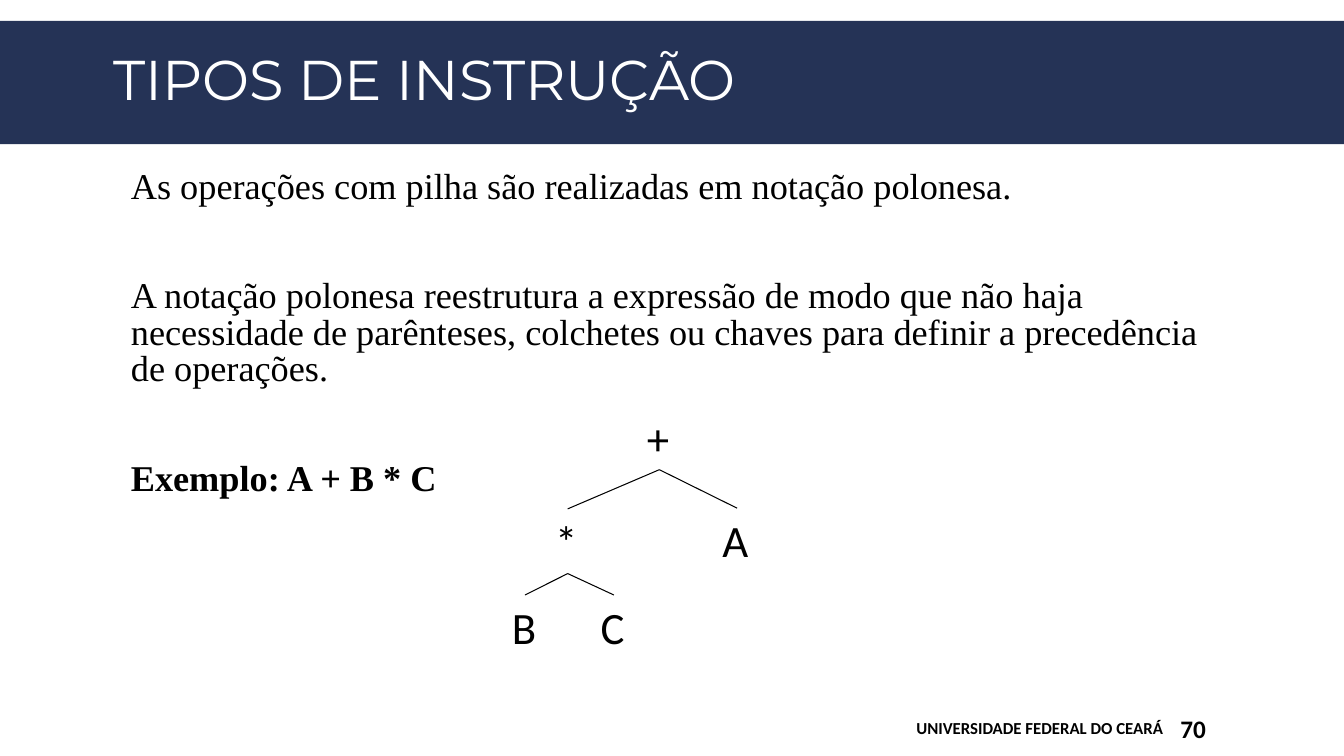
from lxml.etree import SubElement
from pptx import Presentation
from pptx.dml.color import RGBColor
from pptx.enum.shapes import MSO_CONNECTOR, MSO_SHAPE
from pptx.enum.text import MSO_ANCHOR, PP_ALIGN
from pptx.oxml.ns import qn
from pptx.util import Pt

NAVY, WHITE, BLACK = "253356", "FFFFFF", "000000"

TITLE = {"name": "Montserrat", "size": Pt(40)}
BODY = {"name": "Times New Roman", "size": Pt(25.9)}
FOOTER = {"name": "Calibri", "size": Pt(12), "bold": True}
PAGE = {**FOOTER, "size": Pt(18)}
NODE = {"name": "Calibri", "size": Pt(32)}

STATEMENTS = [
    ("As operações com pilha são realizadas em notação polonesa.", BODY),
    ("A notação polonesa reestrutura a expressão de modo que não haja "
     "necessidade de parênteses, colchetes ou chaves para definir a "
     "precedência de operações.", BODY),
    ("Exemplo: A + B * C", {**BODY, "bold": True}),
]

# Operator or operand: left, top, width
NODES = {
    "+": (455, 289.5, 31),
    "*": (389.5, 363.5, 31.7),
    "A": (509, 363, 35.3),
    "B": (358.5, 425, 33.8),
    "C": (422, 425, 33.8),
}
# Fork point and the ends of its two branches
FORKS = [
    ((471, 335.5), [(405.5, 363.5), (526.5, 363)]),
    ((405.5, 409.7), [(375, 425), (438.5, 425)]),
]


def paint(color_format, color):
    color_format.rgb = RGBColor.from_string(color)


def apply(target, values):
    for name, value in values.items():
        setattr(target, name, value)


def add_band(slide, left, top, width, height):
    band = slide.shapes.add_shape(
        MSO_SHAPE.RECTANGLE, Pt(left), Pt(top), Pt(width), Pt(height))
    band.shadow.inherit = False
    band.fill.solid()
    paint(band.fill.fore_color, NAVY)
    band.line.fill.background()


def add_frame(slide, left, top, width, height, **layout):
    frame = slide.shapes.add_textbox(
        Pt(left), Pt(top), Pt(width), Pt(height)).text_frame
    apply(frame, {"word_wrap": True, **layout})
    return frame


def write(paragraph, text, font, color=BLACK, **layout):
    run = paragraph.add_run()
    run.text = text
    apply(paragraph, layout)
    apply(run.font, font)
    paint(run.font.color, color)


def add_label(slide, text, box, font, color=BLACK, align=PP_ALIGN.LEFT,
              spacing=1.0, **layout):
    frame = add_frame(slide, *box, **layout)
    write(frame.paragraphs[0], text, font, color,
          alignment=align, line_spacing=spacing)


def add_statements(slide, box):
    frame = add_frame(slide, *box)
    for index, (text, font) in enumerate(STATEMENTS):
        paragraph = frame.add_paragraph() if index else frame.paragraphs[0]
        paragraph._p.get_or_add_pPr().set("marL", str(Pt(14.4)))
        write(paragraph, text, font, line_spacing=0.84,
              space_before=Pt(50 if index else 0), space_after=Pt(2))


def add_branch(slide, start, end):
    branch = slide.shapes.add_connector(
        MSO_CONNECTOR.STRAIGHT, *(Pt(value) for value in start + end))
    branch.line.width = Pt(0.75)
    paint(branch.line.color, BLACK)
    SubElement(branch._element.spPr, qn("a:effectLst"))


def add_tree(slide):
    for symbol, (left, top, width) in NODES.items():
        add_label(slide, symbol, (left, top, width, 46), NODE, word_wrap=False)
    for fork, ends in FORKS:
        for end in ends:
            add_branch(slide, fork, end)


def main():
    deck = Presentation()
    deck.slide_width, deck.slide_height = Pt(960), Pt(540)
    slide = deck.slides.add_slide(deck.slide_layouts[6])
    middle = MSO_ANCHOR.MIDDLE

    add_band(slide, 0, 15, 960, 88)
    add_label(slide, "TIPOS DE INSTRUÇÃO", (74, 18, 816, 83.5), TITLE, WHITE,
              spacing=0.85, vertical_anchor=middle)
    add_statements(slide, (72, 118, 816, 256))
    add_tree(slide)
    add_label(slide, "UNIVERSIDADE FEDERAL DO CEARÁ", (440.5, 505.5, 397.5, 29),
              FOOTER, align=PP_ALIGN.RIGHT, vertical_anchor=middle)
    add_label(slide, "70", (839.5, 505.5, 74, 29), PAGE,
              vertical_anchor=middle, margin_left=Pt(3.6))
    deck.save("out.pptx")


if __name__ == "__main__":
    main()
